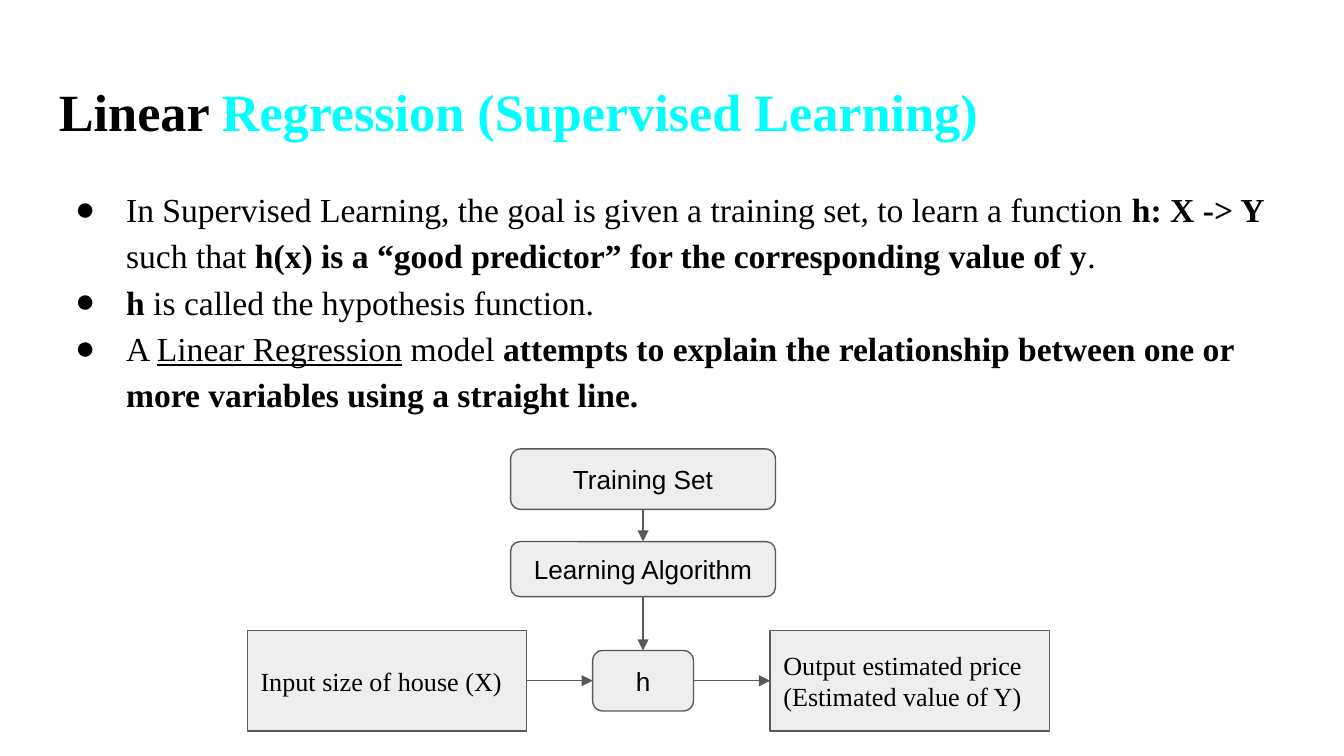
import pptx
import pptx.dml.color
import pptx.enum.shapes
import pptx.enum.text
import pptx.oxml
import pptx.oxml.ns
import pptx.util
from pptx.util import Inches

SERIF = "Times New Roman"
SANS = "Arial"
BLACK = "000000"
TOP, LEFT, BOTTOM, RIGHT = range(4)


def color(hex_value):
    return pptx.dml.color.RGBColor.from_string(hex_value)


def add_xml(parent, tag, **attributes):
    element = pptx.oxml.parse_xml(f"<a:{tag} {pptx.oxml.ns.nsdecls('a')}/>")
    for name, value in attributes.items():
        element.set(name, str(value))
    parent.append(element)
    return element


class FlowSlide:
    fill = "EEEEEE"
    outline = "595959"
    line_width = pptx.util.Pt(0.75)
    margin = Inches(0.1)

    def __init__(self, presentation):
        self.slide = presentation.slides.add_slide(presentation.slide_layouts[6])

    def set_frame(self, frame, anchor):
        frame.word_wrap = True
        frame.vertical_anchor = anchor
        frame.margin_left = frame.margin_right = self.margin
        frame.margin_top = frame.margin_bottom = self.margin

    def add_run(self, paragraph, text, size, font=SERIF, hex_value=BLACK, bold=False, underline=False):
        run = paragraph.add_run()
        run.text = text
        run.font.size = pptx.util.Pt(size)
        run.font.name = font
        run.font.color.rgb = color(hex_value)
        run.font.bold = bold
        run.font.underline = underline

    def text_area(self, top, height):
        area = self.slide.shapes.add_textbox(Inches(0.34), Inches(top), Inches(9.32), Inches(height))
        self.set_frame(area.text_frame, pptx.enum.text.MSO_ANCHOR.TOP)
        return area.text_frame

    def title(self, parts):
        paragraph = self.text_area(0.49, 0.63).paragraphs[0]
        for text, hex_value in parts:
            self.add_run(paragraph, text, 28, hex_value=hex_value, bold=True)

    def bullets(self, items):
        frame = self.text_area(1.26, 3.74)
        for index, parts in enumerate(items):
            paragraph = frame.add_paragraph() if index else frame.paragraphs[0]
            paragraph.line_spacing = 1.15
            properties = paragraph._p.get_or_add_pPr()
            properties.set("marL", str(Inches(0.5)))
            properties.set("indent", str(Inches(-0.38)))
            add_xml(add_xml(properties, "buClr"), "srgbClr", val=BLACK)
            add_xml(properties, "buFont", typeface=SERIF)
            add_xml(properties, "buChar", char="●")
            for text, style in parts:
                self.add_run(paragraph, text, 18, bold=style == "bold", underline=style == "underline")

    def box(self, text, left, top, width, height, rounded=True):
        kinds = pptx.enum.shapes.MSO_SHAPE
        kind = kinds.ROUNDED_RECTANGLE if rounded else kinds.RECTANGLE
        shape = self.slide.shapes.add_shape(kind, Inches(left), Inches(top), Inches(width), Inches(height))
        shape.shadow.inherit = False
        shape.fill.solid()
        shape.fill.fore_color.rgb = color(self.fill)
        shape.line.color.rgb = color(self.outline)
        shape.line.width = self.line_width
        self.set_frame(shape.text_frame, pptx.enum.text.MSO_ANCHOR.MIDDLE)
        paragraph = shape.text_frame.paragraphs[0]
        align = pptx.enum.text.PP_ALIGN
        paragraph.alignment = align.CENTER if rounded else align.LEFT
        self.add_run(paragraph, text, 14, font=SANS if rounded else SERIF)
        return shape

    def arrow(self, source, source_side, target, target_side):
        connector = self.slide.shapes.add_connector(pptx.enum.shapes.MSO_CONNECTOR.STRAIGHT, 0, 0, 0, 0)
        connector.begin_connect(source, source_side)
        connector.end_connect(target, target_side)
        connector.line.color.rgb = color(self.outline)
        connector.line.width = self.line_width
        add_xml(connector.line._get_or_add_ln(), "tailEnd", type="triangle")
        add_xml(connector._element.spPr, "effectLst")


def main():
    presentation = pptx.Presentation()
    presentation.slide_width = Inches(10)
    presentation.slide_height = Inches(10) * 9 // 16
    flow = FlowSlide(presentation)

    flow.title([("Linear ", BLACK), ("Regression (Supervised Learning)", "00FFFF")])
    flow.bullets([
        [
            ("In Supervised Learning, the goal is given a training set, to learn a function ", ""),
            ("h: X -> Y ", "bold"),
            ("such that ", ""),
            ("h(x) is a “good predictor” for the corresponding value of y", "bold"),
            (".", ""),
        ],
        [("h", "bold"), (" is called the hypothesis function.", "")],
        [
            ("A ", ""),
            ("Linear Regression", "underline"),
            (" model ", ""),
            ("attempts to explain the relationship between one or more variables using a straight line.", "bold"),
        ],
    ])

    training_set = flow.box("Training Set", 3.8, 3.34, 1.97, 0.45)
    algorithm = flow.box("Learning Algorithm", 3.8, 4.03, 1.97, 0.41)
    hypothesis = flow.box("h", 4.41, 4.84, 0.75, 0.45)
    house_size = flow.box("Input size of house (X)", 1.84, 4.69, 2.08, 0.75, rounded=False)
    price = flow.box("Output estimated price (Estimated value of Y)", 5.73, 4.69, 2.08, 0.75, rounded=False)

    flow.arrow(training_set, BOTTOM, algorithm, TOP)
    flow.arrow(algorithm, BOTTOM, hypothesis, TOP)
    flow.arrow(house_size, RIGHT, hypothesis, LEFT)
    flow.arrow(hypothesis, RIGHT, price, LEFT)

    presentation.save("out.pptx")


if __name__ == "__main__":
    main()
